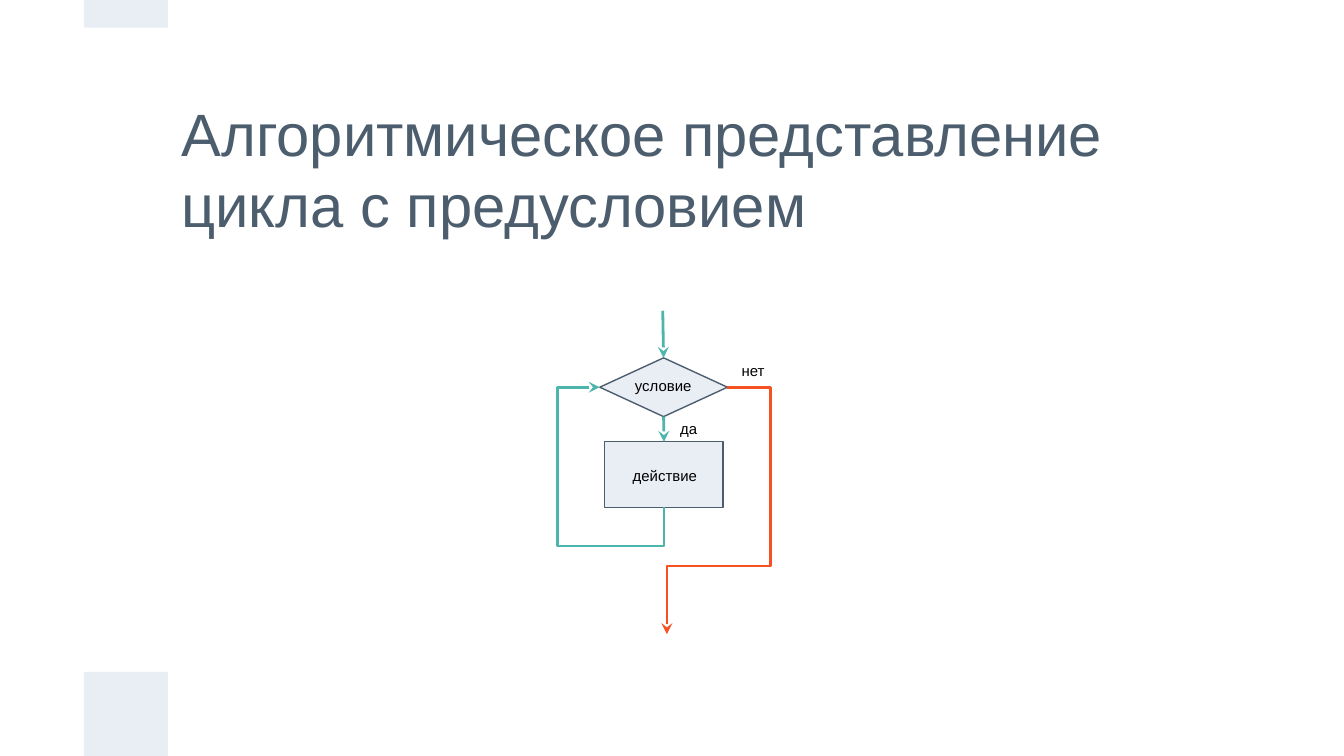
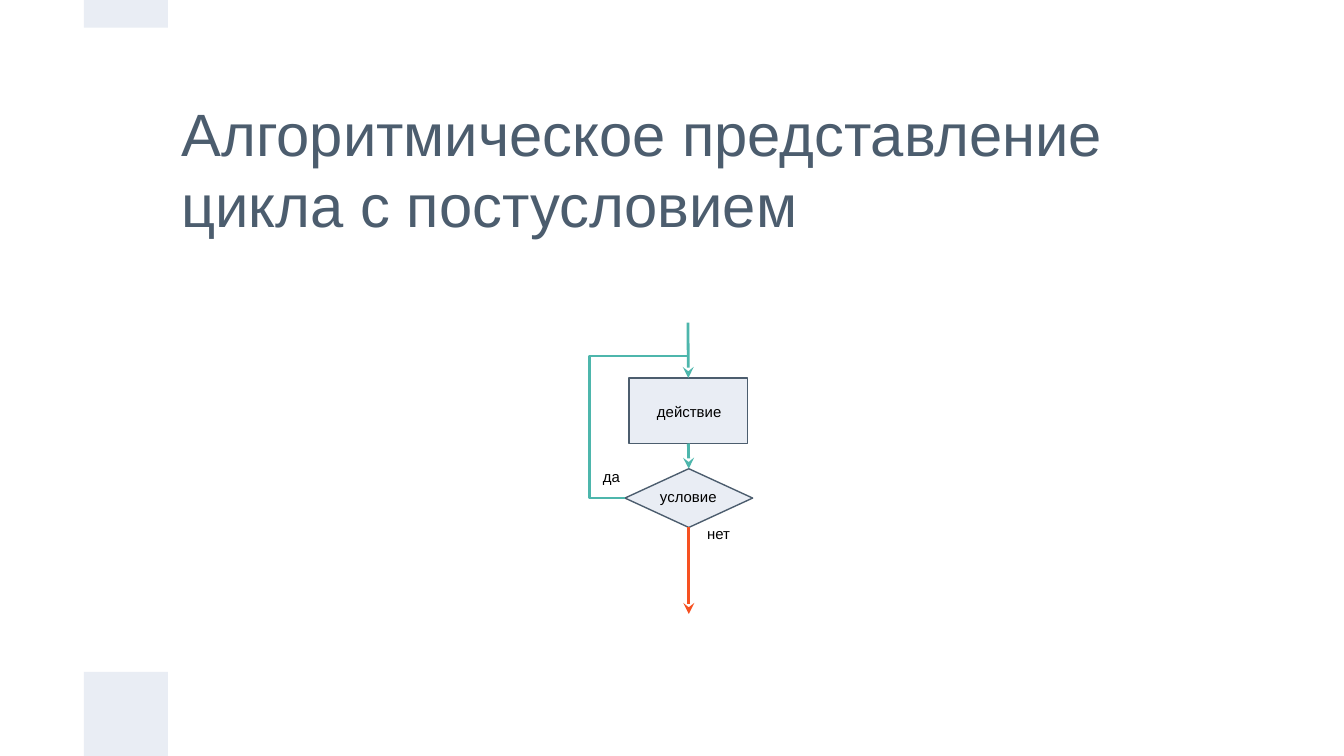
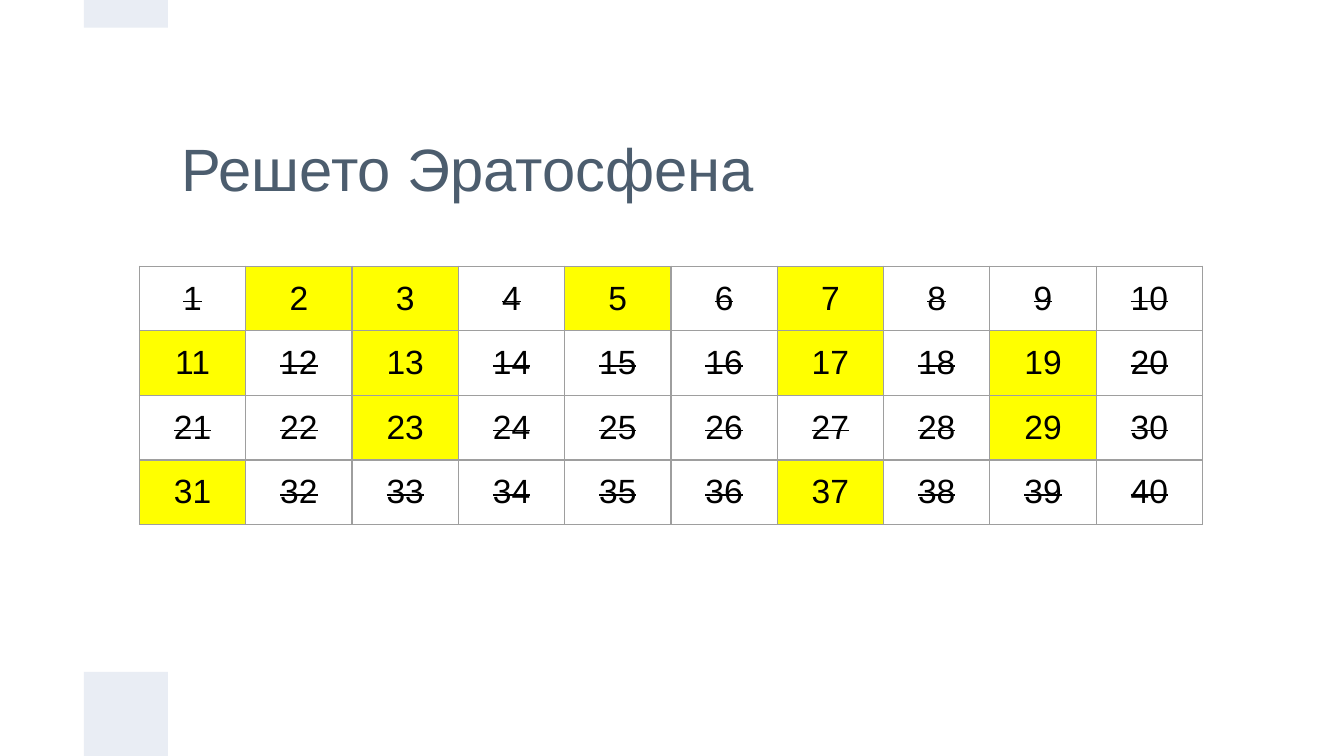
from dataclasses import dataclass
from typing import Any, NamedTuple

import pptx
import pptx.dml.color
import pptx.enum.shapes
import pptx.enum.text
import pptx.oxml
import pptx.oxml.ns
import pptx.util
from lxml import etree

# The slide is a grid of 16 columns and 9 rows of square cells.
COLUMNS, ROWS = 16, 9
CELL = pptx.util.Inches(10) // COLUMNS

FONT = "Arial"
SLATE, PALE, BLACK = "4C5D6E", "E9EDF4", "000000"
TEAL, ORANGE = "4DB6AC", "F65121"
YELLOW, GREY = "FFFF00", "9E9E9E"

SHAPE = pptx.enum.shapes.MSO_SHAPE
CONNECTOR = pptx.enum.shapes.MSO_CONNECTOR
ALIGN = pptx.enum.text.PP_ALIGN
ANCHOR = pptx.enum.text.MSO_ANCHOR

TOP, LEFT, BOTTOM, RIGHT = range(4)
MARGIN = pptx.util.Inches(0.1)
MARGINS = {f"margin_{side}": MARGIN for side in ("left", "right", "top", "bottom")}
FRAME = MARGINS | {"word_wrap": True, "auto_size": pptx.enum.text.MSO_AUTO_SIZE.NONE}


class Point(NamedTuple):
    column: float
    row: float


class Area(NamedTuple):
    column: float
    row: float
    columns: float
    rows: float

    def side(self, site: int) -> Point:
        """Middle of a side, numbered like a connection site."""
        across, down = ((0.5, 0), (0, 0.5), (0.5, 1), (1, 0.5))[site]
        return Point(self.column + across * self.columns, self.row + down * self.rows)


@dataclass(frozen=True)
class NodeKind:
    shape: Any
    columns: float
    rows: float
    text: str
    label: Area  # relative to the node's corner
    align: Any
    anchor: Any

    def at(self, column: float, row: float) -> Area:
        return Area(column, row, self.columns, self.rows)


@dataclass(frozen=True)
class Straight:
    color: str
    start: Any  # a free point, or a node name with a side
    end: Any


@dataclass(frozen=True)
class Bent:
    """Elbow route through one vertical lane (column) and one horizontal lane (row)."""
    color: str
    start: Point
    end: Point
    lane: Point
    leaves_down: bool = False
    arrow: bool = True


@dataclass(frozen=True)
class Flowchart:
    title: str
    nodes: dict[str, Area]
    routes: list
    answers: dict[str, Point]


CONDITION = NodeKind(SHAPE.FLOWCHART_DECISION, 1.52, 0.7, "условие",
                     Area(0.26, 0.06, 1.09, 0.38), ALIGN.LEFT, ANCHOR.TOP)
ACTION = NodeKind(SHAPE.FLOWCHART_PROCESS, 1.41, 0.78, "действие",
                  Area(0.02, 0.21, 1.39, 0.38), ALIGN.CENTER, ANCHOR.MIDDLE)
KINDS = {"condition": CONDITION, "action": ACTION}

TITLE = Area(2, 1, 12, 2)
BANDS = [Area(1, 8, 1, 1), Area(1, 0, 1, 0.33)]


def precondition_loop() -> Flowchart:
    condition, action = CONDITION.at(7.14, 4.26), ACTION.at(7.2, 5.26)
    return Flowchart(
        "Алгоритмическое представление цикла с предусловием",
        {"condition": condition, "action": action},
        [
            Bent(TEAL, action.side(BOTTOM), condition.side(LEFT), Point(6.64, 6.5), True),
            Bent(ORANGE, condition.side(RIGHT), Point(7.94, 7.55), Point(9.17, 6.74)),
            Straight(TEAL, Point(7.89, 3.7), ("condition", TOP)),
            Straight(TEAL, ("condition", BOTTOM), ("action", TOP)),
        ],
        {"нет": Point(8.67, 4.14), "да": Point(7.94, 4.83)},
    )


def postcondition_loop() -> Flowchart:
    condition, action = CONDITION.at(7.44, 5.58), ACTION.at(7.49, 4.5)
    back = Point(8.18, 4.24)
    return Flowchart(
        "Алгоритмическое представление цикла с постусловием",
        {"action": action, "condition": condition},
        [
            Straight(TEAL, Point(8.19, 3.84), ("action", TOP)),
            Bent(TEAL, condition.side(LEFT), back, Point(7.02, back.row), arrow=False),
            Straight(ORANGE, ("condition", BOTTOM), Point(8.2, 7.31)),
            Straight(TEAL, ("action", BOTTOM), ("condition", TOP)),
        ],
        {"да": Point(7.02, 5.41), "нет": Point(8.26, 6.08)},
    )


def cells(*lengths: float) -> list[int]:
    return [round(length * CELL) for length in lengths]


def rgb(color: str) -> pptx.dml.color.RGBColor:
    return pptx.dml.color.RGBColor.from_string(color)


def apply(target: Any, values: dict[str, Any]) -> None:
    for name, value in values.items():
        setattr(target, name, value)


def write(frame: Any, text: str, size: float, color: str, align: Any = ALIGN.LEFT) -> Any:
    para = frame.paragraphs[0]
    para.alignment = align
    span = para.add_run()
    span.text = text
    apply(span.font, {"name": FONT, "size": pptx.util.Pt(size)})
    span.font.color.rgb = rgb(color)
    return span


def add_title(page: Any, text: str) -> None:
    box = page.shapes.title
    apply(box, dict(zip(("left", "top", "width", "height"), cells(*TITLE))))
    apply(box.text_frame, FRAME | {"vertical_anchor": ANCHOR.MIDDLE})
    write(box.text_frame, text, 32, SLATE)


def add_label(page: Any, area: Area, text: str,
              align: Any = ALIGN.LEFT, anchor: Any = ANCHOR.TOP) -> None:
    box = page.shapes.add_textbox(*cells(*area))
    apply(box.text_frame, FRAME | {"vertical_anchor": anchor})
    write(box.text_frame, text, 8, BLACK, align)


def add_block(page: Any, kind: Any, area: Area, outline: str = "") -> Any:
    box = page.shapes.add_shape(kind, *cells(*area))
    box.shadow.inherit = False
    box.fill.solid()
    box.fill.fore_color.rgb = rgb(PALE)
    if outline:
        box.line.color.rgb = rgb(outline)
        box.line.width = pptx.util.Pt(0.75)
    else:
        box.line.fill.background()
    return box


def add_node(page: Any, kind: NodeKind, area: Area) -> Any:
    box = add_block(page, kind.shape, area, SLATE)
    label = kind.label._replace(column=area.column + kind.label.column,
                                row=area.row + kind.label.row)
    add_label(page, label, kind.text, kind.align, kind.anchor)
    return box


def add_line(page: Any, kind: Any, start: Point, end: Point, color: str, arrow: bool) -> Any:
    line = page.shapes.add_connector(kind, *cells(*start, *end))
    line.line.color.rgb = rgb(color)
    line.line.width = pptx.util.Pt(1.5)
    properties = line.element.spPr
    if arrow:
        outline = properties.find(pptx.oxml.ns.qn("a:ln"))
        etree.SubElement(outline, pptx.oxml.ns.qn("a:tailEnd"), type="stealth")
    etree.SubElement(properties, pptx.oxml.ns.qn("a:effectLst"))
    return line


def add_straight(page: Any, route: Straight, areas: dict[str, Area], boxes: dict) -> None:
    ends = (route.start, route.end)
    points = [end if isinstance(end, Point) else areas[end[0]].side(end[1]) for end in ends]
    line = add_line(page, CONNECTOR.STRAIGHT, *points, route.color, True)
    for end, join in zip(ends, (line.begin_connect, line.end_connect)):
        if not isinstance(end, Point):
            join(boxes[end[0]], end[1])


def add_bent(page: Any, route: Bent) -> None:
    start, end = route.start, route.end
    shares = [(lane - first) / (last - first)
              for lane, first, last in zip(route.lane, start, end)]
    if route.leaves_down:
        # Lay the route on its side around its centre; the rotation turns it back.
        middle = Point((start.column + end.column) / 2, (start.row + end.row) / 2)
        start, end = (Point(middle.column + point.row - middle.row,
                            middle.row - point.column + middle.column)
                      for point in (start, end))
        shares.reverse()
    line = add_line(page, CONNECTOR.ELBOW, start, end, route.color, route.arrow)
    properties = line.element.spPr
    if route.leaves_down:
        properties.find(pptx.oxml.ns.qn("a:xfrm")).set("rot", str(90 * 60000))
    geometry = properties.find(pptx.oxml.ns.qn("a:prstGeom"))
    geometry.set("prst", "bentConnector4")
    guides = geometry.find(pptx.oxml.ns.qn("a:avLst"))
    for number, share in enumerate(shares, 1):
        etree.SubElement(guides, pptx.oxml.ns.qn("a:gd"), name=f"adj{number}",
                         fmla=f"val {round(share * 100000)}")


def add_flowchart(page: Any, chart: Flowchart) -> None:
    add_title(page, chart.title)
    boxes = {name: add_node(page, KINDS[name], area) for name, area in chart.nodes.items()}
    for route in chart.routes:
        if isinstance(route, Bent):
            add_bent(page, route)
        else:
            add_straight(page, route, chart.nodes, boxes)
    for text, corner in chart.answers.items():
        add_label(page, Area(*corner, 0.69, 0.32), text)


def is_prime(number: int) -> bool:
    return number > 1 and all(number % divisor for divisor in range(2, number))


def add_borders(cell: Any) -> None:
    for side in "LRTB":
        cell._tc.get_or_add_tcPr().append(pptx.oxml.parse_xml(
            f'<a:ln{side} {pptx.oxml.ns.nsdecls("a")} w="{pptx.util.Pt(0.75)}">'
            f'<a:solidFill><a:srgbClr val="{GREY}"/></a:solidFill></a:ln{side}>'))


def add_sieve(page: Any) -> None:
    add_title(page, "Решето Эратосфена")
    across, down = 10, 4
    area = Area(1.66, 3.17, 12.66, 0.67 * down)
    table = page.shapes.add_table(down, across, *cells(*area)).table
    apply(table, {"first_row": False, "horz_banding": False})
    for number, cell in enumerate(table.iter_cells(), 1):
        add_borders(cell)
        apply(cell, MARGINS | {"vertical_anchor": ANCHOR.MIDDLE})
        span = write(cell.text_frame, str(number), 18, BLACK, ALIGN.CENTER)
        if is_prime(number):
            cell.fill.solid()
            cell.fill.fore_color.rgb = rgb(YELLOW)
        else:
            cell.fill.background()
            span.font._element.set("strike", "sngStrike")


def main() -> None:
    deck = pptx.Presentation()
    apply(deck, {"slide_width": COLUMNS * CELL, "slide_height": ROWS * CELL})
    layout = deck.slide_layouts.get_by_name("Title Only")
    pages = [deck.slides.add_slide(layout) for _ in range(3)]

    # The bands belong to the layout, so every slide shows them.
    for area in BANDS:
        layout.shapes.element.append(add_block(pages[0], SHAPE.RECTANGLE, area).element)

    add_flowchart(pages[0], precondition_loop())
    add_flowchart(pages[1], postcondition_loop())
    add_sieve(pages[2])
    deck.save("out.pptx")


if __name__ == "__main__":
    main()
